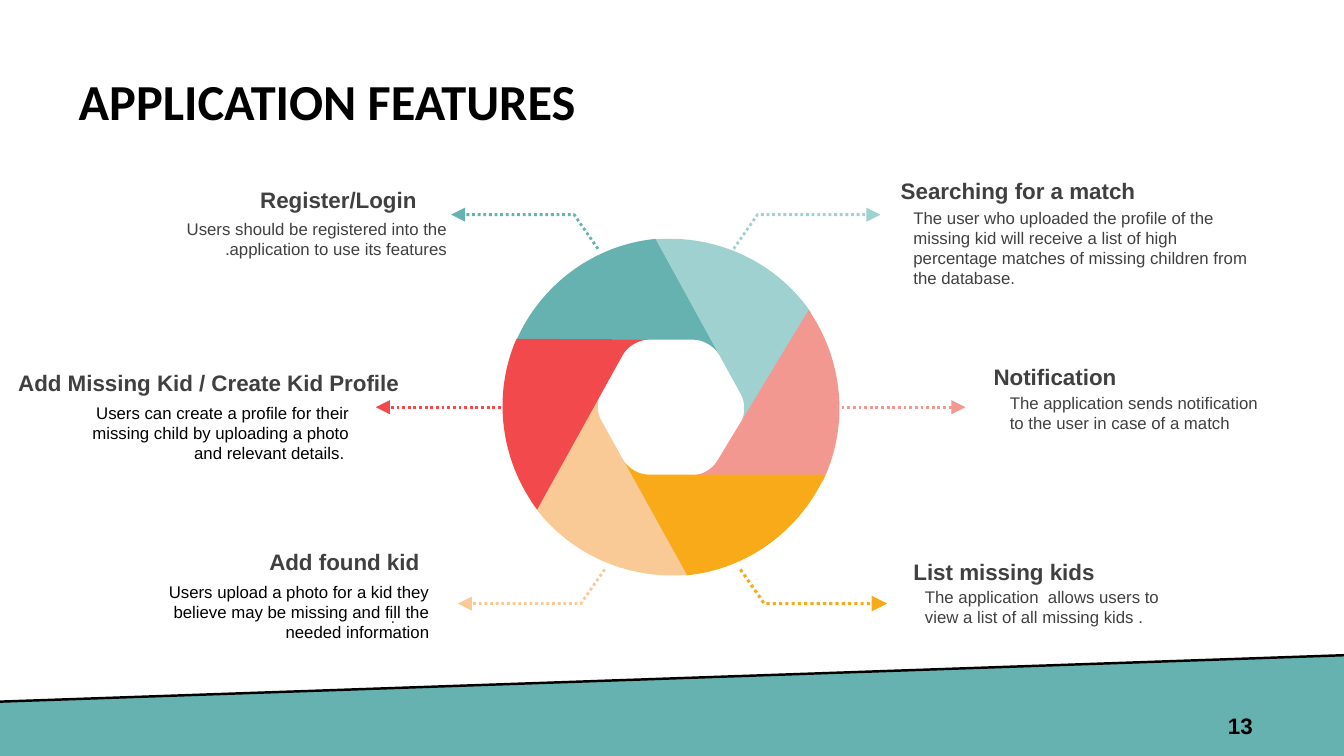
from dataclasses import dataclass
from math import cos, radians, sin

from lxml import etree
from pptx import Presentation
from pptx import util as u
from pptx.dml.color import RGBColor
from pptx.enum import dml, shapes, text
from pptx.oxml import ns
from pptx.util import Cm


@dataclass(frozen=True)
class Theme:
    teal: str = "66B2B0"
    aqua: str = "9FD1D0"
    pink: str = "F39891"
    orange: str = "F9AA19"
    peach: str = "F9C996"
    red: str = "F2494C"
    black: str = "000000"
    grey: str = "404040"
    heading_font: str = "Calibri"
    body_font: str = "Arial"
    title: int = 36
    head: int = 16
    body: int = 12


T = Theme()
LEFT, RIGHT = text.PP_ALIGN.LEFT, text.PP_ALIGN.RIGHT

prs = Presentation()
prs.slide_width, prs.slide_height = Cm(33.87), Cm(19.05)
s = prs.slides.add_slide(prs.slide_layouts[5])


def outline(points, close):
    """Add a freeform through points given in centimetres."""
    pts = [(Cm(x), Cm(y)) for x, y in points]
    fb = s.shapes.build_freeform(*pts[0])
    fb.add_line_segments(pts[1:], close=close)
    sp = fb.convert_to_shape()
    sp.shadow.inherit = False
    return sp


def write(tf, words, size, color, bold=False, align=LEFT, font=T.body_font):
    """Put one formatted run into the first paragraph of a text frame."""
    tf.word_wrap = True
    p = tf.paragraphs[0]
    p.alignment = align
    r = p.add_run()
    r.text = words
    r.font.name, r.font.size, r.font.bold = font, u.Pt(size), bold
    r.font.color.rgb = RGBColor.from_string(color)
    return p


# Footer band with its slanted edge and the slide number
band = outline([(0, 17.68), (33.87, 16.51), (33.87, 19.05), (0, 19.05)], True)
band.fill.solid()
band.fill.fore_color.rgb = RGBColor.from_string(T.teal)
band.line.fill.background()
edge = s.shapes.add_connector(shapes.MSO_CONNECTOR.STRAIGHT,
                              Cm(33.87), Cm(16.51), Cm(0), Cm(17.68))
edge.line.color.rgb = RGBColor.from_string(T.black)
edge.line.width = u.Pt(1.75)
etree.SubElement(edge._element.spPr, ns.qn("a:effectLst"))
number = s.shapes.add_textbox(Cm(24.2), Cm(17.78), Cm(7.62), Cm(1.02)).text_frame
number.vertical_anchor = text.MSO_ANCHOR.MIDDLE
write(number, "13", T.head, T.black, True, RIGHT)

# Title
title = s.shapes.title
title.left, title.top, title.width, title.height = Cm(1.73), Cm(0.78), Cm(29.21), Cm(3.68)
title.text_frame.vertical_anchor = text.MSO_ANCHOR.MIDDLE
title.text_frame.auto_size = text.MSO_AUTO_SIZE.NONE
p = write(title.text_frame, "APPLICATION FEATURES", T.title, T.black, True,
          font=T.heading_font)
p.line_spacing = 0.9

# Wheel: one blade, relative to the centre, turned six times
CENTRE_X, CENTRE_Y = 16.91, 10.26
inner_curve = [(0.56, -1.7), (0.81, -1.7), (1.07, -1.55), (1.22, -1.32)]
outer_curve = [(-0.38, -4.24), (-1.96, -4.09), (-3.28, -3.07), (-3.89, -1.7)]
blade = inner_curve + outer_curve + [(-0.53, -1.7)]

for angle, color in ((0, T.teal), (61.2, T.aqua), (121.2, T.pink),
                     (180, T.orange), (241, T.peach), (299, T.red)):
    co, si = cos(radians(angle)), sin(radians(angle))
    sp = outline([(CENTRE_X + x * co - y * si, CENTRE_Y + x * si + y * co)
                  for x, y in blade], True)
    # Each curve's last three points become one Bézier segment
    steps = list(sp._element.spPr.find(".//" + ns.qn("a:path")))
    for first in (1, 5):
        curve = etree.Element(ns.qn("a:cubicBezTo"))
        steps[first].addprevious(curve)
        for step in steps[first:first + 3]:
            curve.append(step[0])
            step.getparent().remove(step)
    sp.fill.solid()
    sp.fill.fore_color.rgb = RGBColor.from_string(color)
    sp.line.fill.background()

# Feature texts: words, left, top, width, height, alignment, right-to-left
heads = [
    ("Searching for a match", 22.45, 4.34, 6.5, LEFT, False),
    ("Notification", 24.79, 9.03, 6.43, LEFT, False),
    ("List missing kids", 22.77, 13.93, 6.5, LEFT, False),
    ("Add Missing Kid / Create Kid Profile", 0.21, 9.17, 10.11, LEFT, False),
    ("Add found kid", 2.39, 13.69, 8.43, RIGHT, False),
    ("Register/Login", 3.38, 4.57, 7.37, RIGHT, True),
]
bodies = [
    ("The user who uploaded the profile of the missing kid will receive a list of high "
     "percentage matches of missing children from the database.",
     22.77, 5.11, 9.12, 2.31, T.grey, LEFT, False),
    ("The application sends notification to the user in case of a match",
     25.2, 9.78, 7.16, 1.27, T.grey, LEFT, True),
    ("The application  allows users to view a list of all missing kids .",
     23.06, 14.66, 6.55, 1.27, T.grey, LEFT, False),
    ("Users can create a profile for their missing child by uploading a photo "
     "and relevant details. ", 1.46, 10.02, 7.59, 1.8, T.black, RIGHT, False),
    (". ", 3.83, 15.17, 6.5, 0.76, T.grey, RIGHT, False),
    ("Users upload a photo for a kid they believe may be missing and fill the "
     "needed information", 2.76, 14.53, 8.31, 1.8, T.black, RIGHT, True),
    ("Users should be registered into the application to use its features.",
     4.1, 5.38, 7.42, 1.27, T.grey, RIGHT, True),
]
labels = [(w, x, y, wd, 0.94, T.grey, al, rtl, T.head, True)
          for w, x, y, wd, al, rtl in heads]
labels += [row + (T.body, False) for row in bodies]
for words, x, y, width, height, color, align, rtl, size, bold in labels:
    tf = s.shapes.add_textbox(Cm(x), Cm(y), Cm(width), Cm(height)).text_frame
    tf.auto_size = text.MSO_AUTO_SIZE.SHAPE_TO_FIT_TEXT
    p = write(tf, words, size, color, bold, align)
    if rtl:
        p._p.get_or_add_pPr().set("rtl", "1")

# Dotted arrows: bent ones start at x, y and head sideways and up or down
leaders = []
for x, y, side, rise, color, weight in (
        (15.07, 6.27, -1, -1, T.teal, 2), (18.49, 6.27, 1, -1, T.aqua, 2),
        (15.24, 14.35, -1, 1, T.peach, 2), (18.66, 14.35, 1, 1, T.orange, 2.25)):
    bend_x, end_y = x + side * 0.6, y + rise * 0.86
    sp = outline([(x, y), (bend_x, end_y), (bend_x + side * 3.1, end_y)], False)
    sp.fill.background()
    leaders.append((sp, color, weight))
for x, end_x, color in ((12.62, 9.47, T.red), (21.21, 24.33, T.pink)):
    sp = s.shapes.add_connector(shapes.MSO_CONNECTOR.STRAIGHT,
                                Cm(x), Cm(CENTRE_Y), Cm(end_x), Cm(CENTRE_Y))
    etree.SubElement(sp._element.spPr, ns.qn("a:effectLst"))
    leaders.append((sp, color, 2))
for sp, color, weight in leaders:
    sp.line.color.rgb = RGBColor.from_string(color)
    sp.line.width = u.Pt(weight)
    sp.line.dash_style = dml.MSO_LINE.ROUND_DOT
    ln = sp._element.spPr.find(ns.qn("a:ln"))
    ln.find(ns.qn("a:prstDash")).set("val", "sysDot")
    etree.SubElement(ln, ns.qn("a:tailEnd"), type="triangle", w="lg", len="lg")

prs.save("out.pptx")
